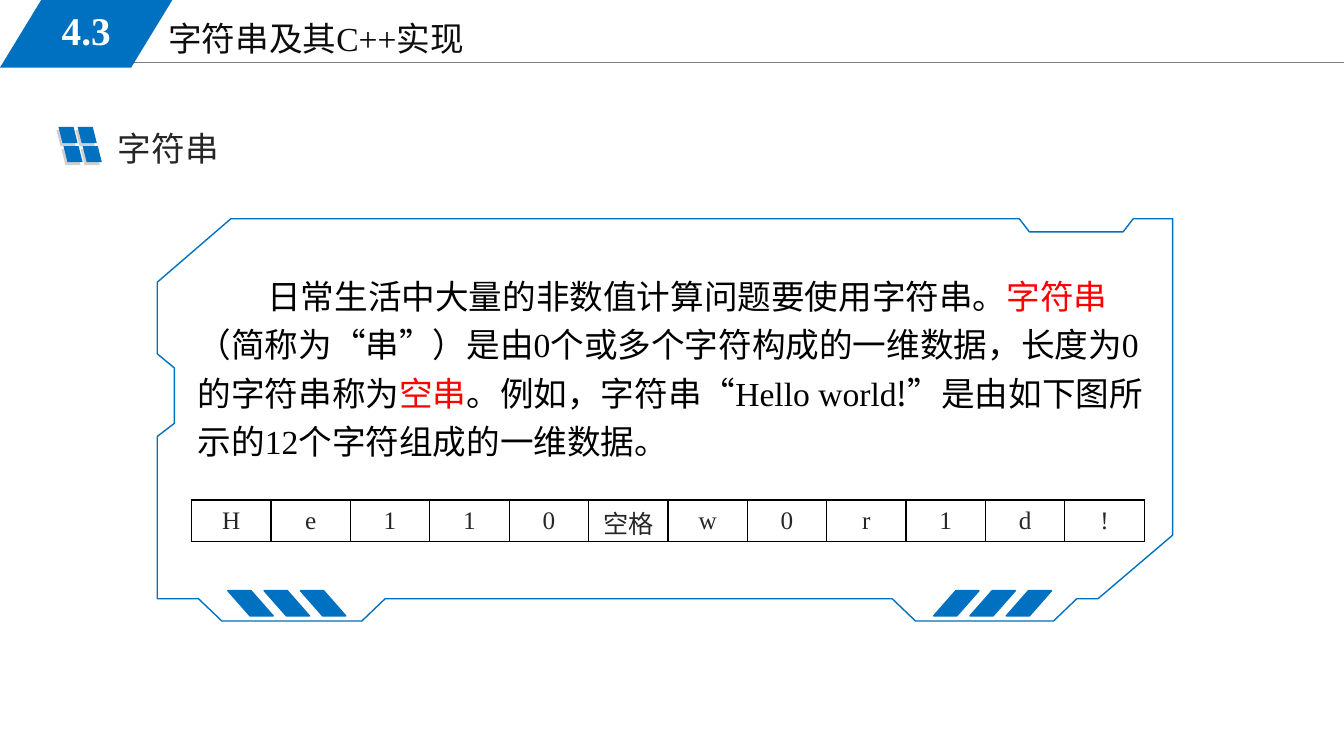
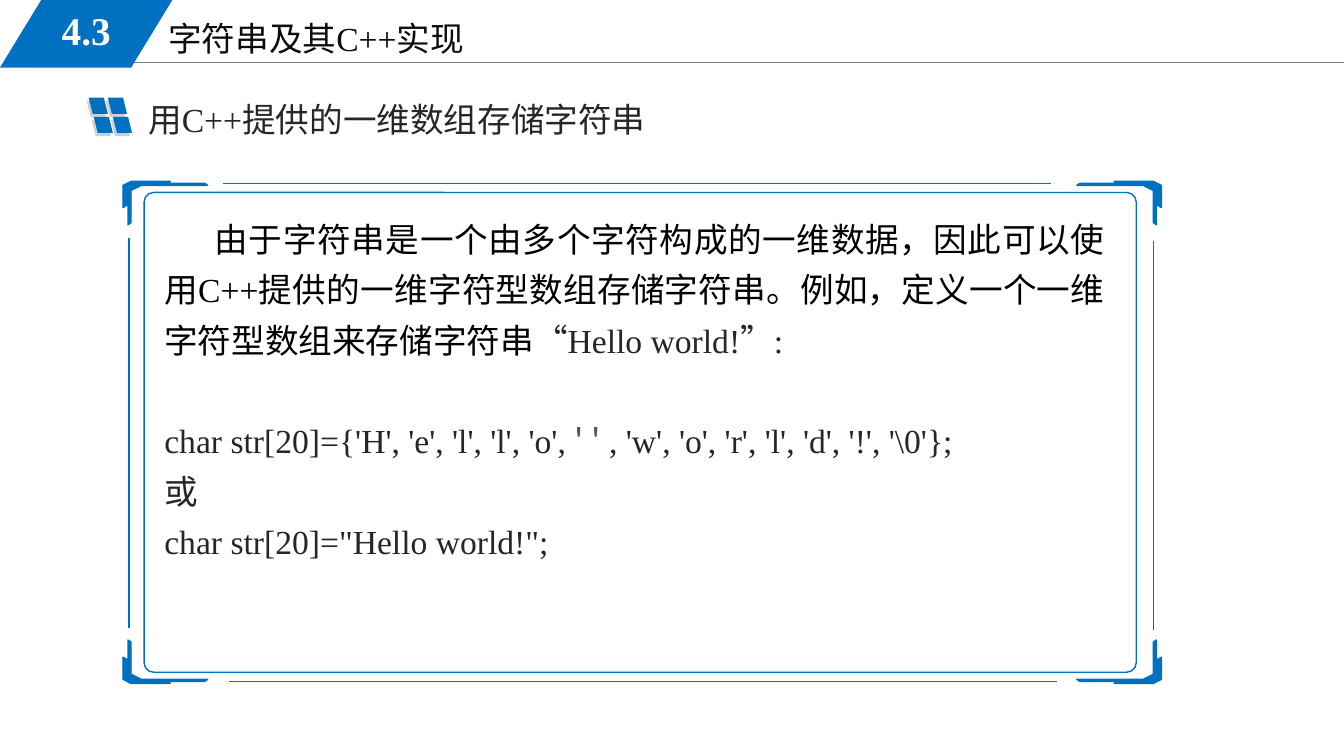
from dataclasses import dataclass

from lxml import etree
from pptx import Presentation
from pptx.dml.color import RGBColor
from pptx.enum.shapes import MSO_CONNECTOR, MSO_SHAPE
from pptx.enum.text import MSO_ANCHOR, MSO_AUTO_SIZE, PP_ALIGN
from pptx.oxml.ns import qn
from pptx.util import Pt

PX = 9144  # EMU per px, at 100 px to the inch
BLUE, GRAY, SILVER = "0070C0", "808080", "D0CECE"
BLACK, INK, TITLE_INK = "000000", "262626", "0D0D0D"
RED, SLATE, WHITE = "FF0000", "44546A", "FFFFFF"
SERIF, SANS = "Times New Roman", "Noto Sans CJK SC"
LEFT, CENTER, JUSTIFY = PP_ALIGN.LEFT, PP_ALIGN.CENTER, PP_ALIGN.JUSTIFY
TOP, MIDDLE = MSO_ANCHOR.TOP, MSO_ANCHOR.MIDDLE
PARALLELOGRAM, ROUNDED = MSO_SHAPE.PARALLELOGRAM, MSO_SHAPE.ROUNDED_RECTANGLE
STRAIGHT = MSO_CONNECTOR.STRAIGHT
TITLE_AND_CONTENT = 1


@dataclass(frozen=True)
class Box:
    left: int
    top: int
    width: int
    height: int

    def emu(self) -> tuple[int, ...]:
        return tuple(v * PX for v in (self.left, self.top, self.width, self.height))


@dataclass(frozen=True)
class Span:
    text: str
    font: str = SERIF
    color: str = INK


@dataclass(frozen=True)
class Para:
    spans: tuple[Span, ...]
    indent: int = 0
    space_before: int = 0


FRAME_OUTLINE = [
    (908, 616), (1045, 616), (1068, 594), (1089, 594), (1163, 531), (1163, 217),
    (1124, 217), (1114, 230), (1021, 230), (1011, 217), (229, 217), (156, 280),
    (156, 351), (173, 365), (173, 420), (156, 433), (156, 594), (197, 594),
    (220, 616), (359, 616), (382, 594), (885, 594),
]
# Distances inward from the outer corner of the bracket
BRACKET = [
    (8, 0), (24, 0), (47, 0), (42, 2), (81, 2), (84, 4), (18, 4),
    (8, 9), (8, 41), (5, 43), (5, 23), (0, 26), (0, 4),
]
BRACKET_CORNERS = [(122, 180, 1, 1), (1152, 180, -1, 1),
                   (122, 678, 1, -1), (1152, 678, -1, -1)]
BORDER_LINES = [(221, 182, 1042, 182), (227, 676, 1048, 676),
                (128, 236, 128, 623), (1144, 239, 1144, 625)]
LETTERS = ["H", "e", "1", "1", "0", "空格", "w", "0", "r", "1", "d", "!"]

STRING_INTRO = [Para((
    Span("日常生活中大量的非数值计算问题要使用字符串。", SANS, BLACK),
    Span("字符串", SANS, RED),
    Span("（简称为“串”）是由", SANS, BLACK),
    Span("0", SERIF, BLACK),
    Span("个或多个字符构成的一维数据，长度为", SANS, BLACK),
    Span("0", SERIF, BLACK),
    Span("的字符串称为", SANS, BLACK),
    Span("空串", SANS, RED),
    Span("。例如，字符串“", SANS, BLACK),
    Span("Hello world", SERIF, BLACK),
    Span("!”是由如下图所示的", SANS, BLACK),
    Span("12", SERIF, BLACK),
    Span("个字符组成的一维数据。", SANS, BLACK),
), indent=69)]

ARRAY_STORAGE = [
    Para((
        Span("由于字符串是一个由多个字符构成的一维数据，因此可以使用C++提供的一维"
             "字符型数组存储字符串。例如，定义一个一维字符型数组来存储字符串",
             color=BLACK),
        Span("“Hello world!”:"),
    ), indent=50),
    Para((
        Span("char str[20]={'H', 'e', 'l', 'l', 'o', "),
        Span("' '", SANS, SLATE),
        Span(" , 'w', 'o', 'r', 'l', 'd', '!', '\\0'};"),
    ), space_before=36),
    Para((Span("或"),)),
    Para((Span('char str[20]="Hello world!";'),)),
]


def rgb(color: str) -> RGBColor:
    return RGBColor.from_string(color)


def write_text(frame, paras: list[Para], *, size: int = 24, line: float = 28.8,
               align=LEFT, bold: bool = False) -> None:
    for index, item in enumerate(paras):
        para = frame.paragraphs[0] if index == 0 else frame.add_paragraph()
        properties = para._p.get_or_add_pPr()
        properties.set("marL", "0")
        properties.set("indent", str(item.indent * PX))
        etree.SubElement(properties, qn("a:buNone"))
        para.alignment = align
        para.line_spacing = Pt(line)
        para.space_before = Pt(item.space_before)
        for span in item.spans:
            run = para.add_run()
            run.text = span.text
            run.font.size = Pt(size)
            run.font.bold = bold
            run.font.name = span.font
            run.font.color.rgb = rgb(span.color)
            etree.SubElement(run._r.get_or_add_rPr(), qn("a:ea"), typeface=SANS)


def set_frame(frame, *, inset: int = 10, anchor=TOP) -> None:
    frame.word_wrap = True
    frame.auto_size = MSO_AUTO_SIZE.NONE
    frame.vertical_anchor = anchor
    frame.margin_left = frame.margin_right = inset * PX
    frame.margin_top = frame.margin_bottom = 5 * PX


def add_text(page, box: Box, span: Span, *, anchor=TOP, **style) -> None:
    frame = page.shapes.add_textbox(*box.emu()).text_frame
    set_frame(frame, inset=11, anchor=anchor)
    write_text(frame, [Para((span,))], **style)


def fill_placeholder(holder, box: Box, paras: list[Para], **style) -> None:
    holder.left, holder.top, holder.width, holder.height = box.emu()
    set_frame(holder.text_frame)
    write_text(holder.text_frame, paras, **style)


def paint(shape, *, fill: str = "", line: str = "") -> None:
    """Set fill and outline; an empty colour means none."""
    shape.shadow.inherit = False
    if fill:
        shape.fill.solid()
        shape.fill.fore_color.rgb = rgb(fill)
    else:
        shape.fill.background()
    if line:
        shape.line.color.rgb = rgb(line)
        shape.line.width = Pt(1)
    else:
        shape.line.fill.background()


def add_preset(page, kind, box: Box, *, adjust: float = 0.25,
               mirrored: bool = False, fill: str = "", line: str = "") -> None:
    shape = page.shapes.add_shape(kind, *box.emu())
    shape.adjustments[0] = adjust
    if mirrored:
        shape.element.spPr.find(qn("a:xfrm")).set("flipH", "1")
    paint(shape, fill=fill, line=line)


def add_outline(page, points: list[tuple[int, int]], *, fill: str = "") -> None:
    builder = page.shapes.build_freeform(*points[0], scale=PX)
    builder.add_line_segments(points[1:], close=True)
    paint(builder.convert_to_shape(), fill=fill, line=BLUE)


def add_line(page, ends: tuple[int, int, int, int], color: str,
             width: float = 1) -> None:
    line = page.shapes.add_connector(STRAIGHT, *(v * PX for v in ends))
    line.line.color.rgb = rgb(color)
    line.line.width = Pt(width)
    etree.SubElement(line.element.spPr, qn("a:effectLst"))


def add_section_header(page) -> None:
    add_line(page, (113, 62, 1333, 62), GRAY, 0.75)
    add_text(page, Box(156, 13, 567, 51), Span("字符串及其C++实现", color=TITLE_INK))
    add_preset(page, PARALLELOGRAM, Box(0, 0, 171, 67), adjust=0.61, fill=BLUE)
    add_text(page, Box(25, 2, 121, 58), Span("4.3", color=WHITE),
             anchor=MIDDLE, size=28, line=32.2, align=CENTER, bold=True)


def add_tile_icon(page, left: int, top: int) -> None:
    """Draw four slanted tiles over their offset shade."""
    for color, shift_x, shift_y in ((SILVER, 0, 0), (BLUE, 2, -3)):
        for row in range(2):
            for column in range(2):
                box = Box(left + shift_x + 19 * column + 5 * row,
                          top + shift_y + 19 * row, 19, 16)
                add_preset(page, PARALLELOGRAM, box, mirrored=True, fill=color)


def add_page(deck, heading: Span, icon: tuple[int, int], box: Box,
             paras: list[Para], **style):
    page = deck.slides.add_slide(deck.slide_layouts[TITLE_AND_CONTENT])
    add_section_header(page)
    left, top = icon
    add_tile_icon(page, left, top)
    fill_placeholder(page.shapes.title, Box(left + 51, top - 7, 620, 50),
                     [Para((heading,))])
    fill_placeholder(page.placeholders[1], box, paras, **style)
    return page


def add_angled_frame(page) -> None:
    add_outline(page, FRAME_OUTLINE)
    for start, mirrored in ((226, True), (926, False)):
        for index in range(3):
            add_preset(page, PARALLELOGRAM, Box(start + 36 * index, 586, 45, 25),
                       adjust=0.88, mirrored=mirrored, fill=BLUE, line=BLUE)


def add_cell_borders(cell) -> None:
    properties = cell._tc.get_or_add_tcPr()
    for index, side in enumerate(("lnL", "lnR", "lnT", "lnB")):
        border = etree.Element(qn(f"a:{side}"), w=str(Pt(1)))
        fill = etree.SubElement(border, qn("a:solidFill"))
        etree.SubElement(fill, qn("a:srgbClr"), val=BLACK)
        properties.insert(index, border)


def add_letter_table(page, box: Box, letters: list[str]) -> None:
    table = page.shapes.add_table(1, len(letters), *box.emu()).table
    table.first_row = table.horz_banding = False
    for column, letter in enumerate(letters):
        table.columns[column].width = box.width * PX // len(letters)
        cell = table.cell(0, column)
        cell.fill.background()
        cell.margin_top = (5 if letter.isascii() else 10) * PX
        cell.margin_bottom = 0
        add_cell_borders(cell)
        font = SERIF if letter.isascii() else SANS
        write_text(cell.text_frame, [Para((Span(letter, font),))],
                   size=18, line=21.6, align=CENTER)


def add_bracket_frame(page) -> None:
    add_preset(page, ROUNDED, Box(143, 191, 984, 476), adjust=0.02, line=BLUE)
    for x, y, toward_x, toward_y in BRACKET_CORNERS:
        add_outline(page, [(x + toward_x * dx, y + toward_y * dy)
                           for dx, dy in BRACKET], fill=BLUE)
    for ends in BORDER_LINES:
        add_line(page, ends, BLUE)


def main() -> None:
    deck = Presentation()
    deck.slide_width, deck.slide_height = 1333 * PX, 750 * PX

    page = add_page(deck, Span("字符串", SANS), (56, 129),
                    Box(186, 261, 967, 204), STRING_INTRO, line=34.5)
    add_angled_frame(page)
    add_letter_table(page, Box(190, 496, 945, 41), LETTERS)

    page = add_page(deck, Span("用C++提供的一维数组存储字符串"), (86, 100),
                    Box(153, 202, 953, 364), ARRAY_STORAGE, line=36, align=JUSTIFY)
    add_bracket_frame(page)

    deck.save("out.pptx")


if __name__ == "__main__":
    main()
